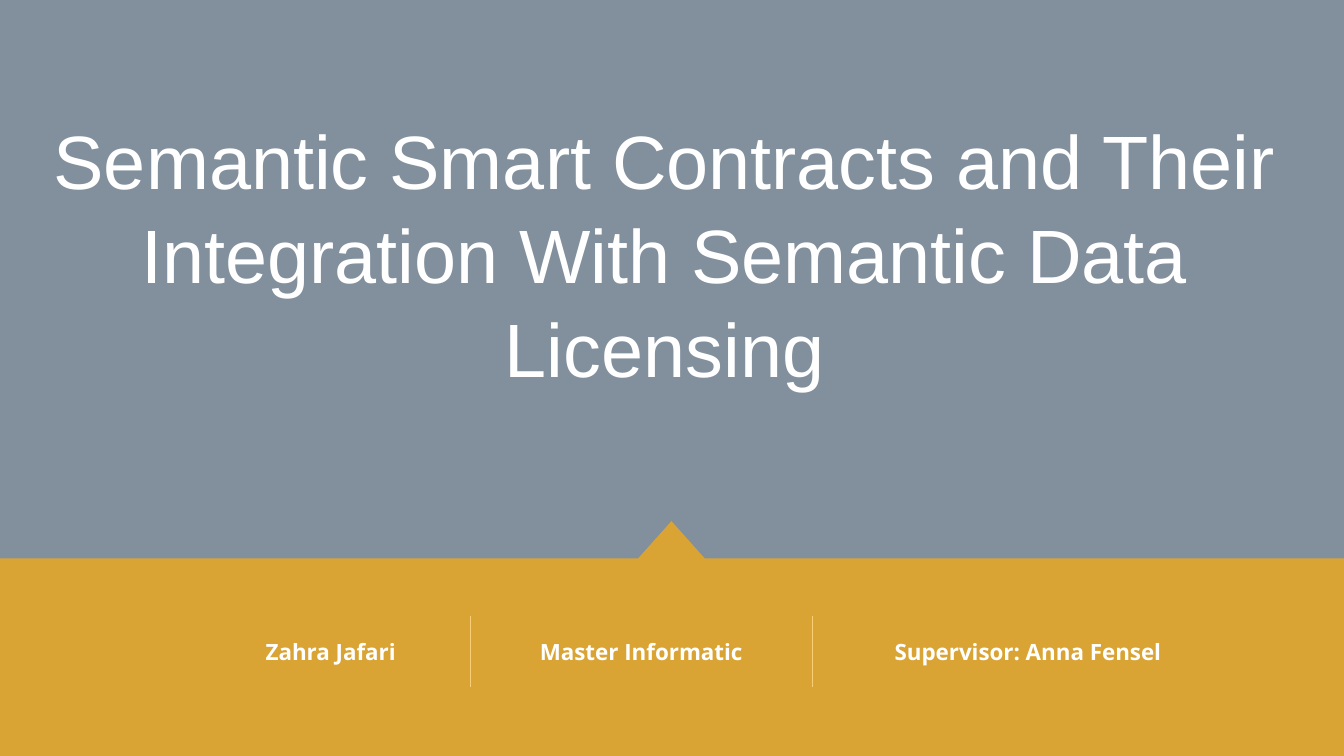
from typing import NamedTuple

from lxml import etree
from pptx import Presentation, util as u
from pptx.dml import color, fill
from pptx.enum import shapes, text
from pptx.oxml import ns
from pptx.shapes import base, shapetree

EMU_PER_PX = 9144  # 100 px to the inch
SLIDE_WIDTH, SLIDE_HEIGHT = 1333, 750
BAND_TOP = 554
POINTER_TIP = (666, 517)
POINTER_HALF_WIDTH = 33
DIVIDER_TOP, DIVIDER_BOTTOM = 611, 682

SLATE = "57687B"
AMBER = "F4AB17"
PALE_AMBER = "F8CD74"
WHITE = "FFFFFF"


class Label(NamedTuple):
    words: str
    left: int
    top: int
    width: int
    height: int
    font: str
    size: int
    bold: bool = False
    line_spacing: float = 1.0


def credit(words: str, left: int, width: int) -> Label:
    return Label(words, left, 628, width, 37, "Open Sans", 16, bold=True)


LABELS = [
    Label(
        "Semantic Smart Contracts and Their\vIntegration With Semantic Data Licensing",
        29, 108, 1260, 283, "Arial", 54, line_spacing=1.04,
    ),
    credit("Zahra Jafari", 220, 216),
    credit("Master Informatic", 498, 276),
    credit("Supervisor: Anna Fensel", 837, 365),
]
DIVIDERS = [467, 806]


def px(length: int) -> u.Emu:
    return u.Emu(length * EMU_PER_PX)


def paint(target: fill.FillFormat, hex_color: str, opacity: int = 100) -> None:
    """Fill with a solid colour; opacity is a percentage."""
    target.solid()
    target.fore_color.rgb = color.RGBColor.from_string(hex_color)
    if opacity < 100:
        for element in target._xPr.iter(ns.qn("a:srgbClr")):
            etree.SubElement(element, ns.qn("a:alpha"), val=str(opacity * 1000))


def style_panel(panel: base.BaseShape, hex_color: str, opacity: int) -> None:
    panel.shadow.inherit = False
    panel.line.fill.background()
    paint(panel.fill, hex_color, opacity)


def add_background(tree: shapetree.SlideShapes) -> None:
    panel = tree.add_shape(
        shapes.MSO_SHAPE.RECTANGLE, 0, 0, px(SLIDE_WIDTH), px(SLIDE_HEIGHT)
    )
    style_panel(panel, SLATE, 74)


def add_pointed_band(tree: shapetree.SlideShapes) -> None:
    tip_x, tip_y = POINTER_TIP
    builder = tree.build_freeform(tip_x, tip_y, scale=EMU_PER_PX)
    builder.add_line_segments([
        (tip_x + POINTER_HALF_WIDTH, BAND_TOP),
        (SLIDE_WIDTH, BAND_TOP),
        (SLIDE_WIDTH, SLIDE_HEIGHT),
        (0, SLIDE_HEIGHT),
        (0, BAND_TOP),
        (tip_x - POINTER_HALF_WIDTH, BAND_TOP),
    ])
    style_panel(builder.convert_to_shape(), AMBER, 78)


def add_label(tree: shapetree.SlideShapes, label: Label) -> None:
    box = tree.add_textbox(
        px(label.left), px(label.top), px(label.width), px(label.height)
    )
    frame = box.text_frame
    frame.word_wrap = True
    frame.vertical_anchor = text.MSO_ANCHOR.MIDDLE
    frame.text = label.words
    paragraph = frame.paragraphs[0]
    paragraph.alignment = text.PP_ALIGN.CENTER
    paragraph.line_spacing = label.line_spacing
    for run in paragraph.runs:
        run.font.name = label.font
        run.font.size = u.Pt(label.size)
        run.font.bold = label.bold
        paint(run.font.fill, WHITE)


def add_divider(tree: shapetree.SlideShapes, x: int) -> None:
    divider = tree.add_connector(
        shapes.MSO_CONNECTOR.STRAIGHT,
        px(x), px(DIVIDER_TOP), px(x), px(DIVIDER_BOTTOM),
    )
    divider.line.width = u.Pt(0.75)
    paint(divider.line.fill, PALE_AMBER)
    etree.SubElement(divider._element.spPr, ns.qn("a:effectLst"))


def main() -> None:
    presentation = Presentation()
    presentation.slide_width = px(SLIDE_WIDTH)
    presentation.slide_height = px(SLIDE_HEIGHT)
    slide = presentation.slides.add_slide(presentation.slide_layouts[6])
    add_background(slide.shapes)
    add_pointed_band(slide.shapes)
    for label in LABELS:
        add_label(slide.shapes, label)
    for x in DIVIDERS:
        add_divider(slide.shapes, x)
    presentation.save("out.pptx")


if __name__ == "__main__":
    main()
